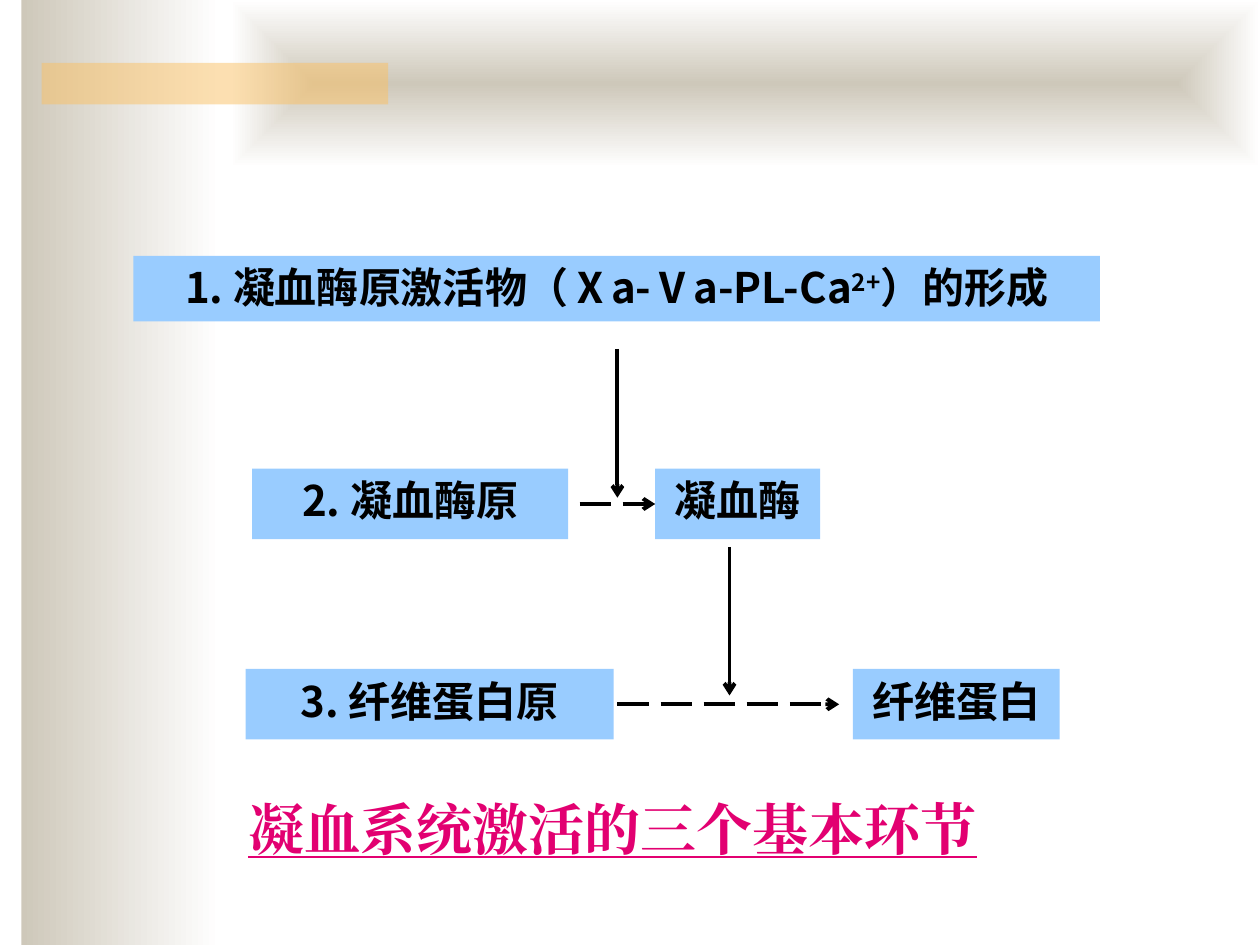
from dataclasses import dataclass
from typing import Optional

from lxml import etree
from pptx import Presentation
from pptx.dml.color import RGBColor
from pptx.enum.dml import MSO_LINE
from pptx.enum.shapes import MSO_CONNECTOR, MSO_SHAPE
from pptx.enum.text import MSO_ANCHOR, MSO_AUTO_SIZE, PP_ALIGN
from pptx.oxml.ns import qn
from pptx.shapes.autoshape import Shape
from pptx.slide import Slide
from pptx.text.text import TextFrame
from pptx.util import Inches, Pt

RECTANGLE = MSO_SHAPE.RECTANGLE
STRAIGHT = MSO_CONNECTOR.STRAIGHT
LONG_DASH = MSO_LINE.LONG_DASH
TOP = MSO_ANCHOR.TOP
CENTER = PP_ALIGN.CENTER
GROW = MSO_AUTO_SIZE.SHAPE_TO_FIT_TEXT

SAND = RGBColor(0xCE, 0xC8, 0xBA)
WHITE = RGBColor(0xFF, 0xFF, 0xFF)
AMBER = RGBColor(0xFA, 0xC1, 0x64)
SKY = RGBColor(0x99, 0xCC, 0xFF)
BLACK = RGBColor(0, 0, 0)
MAGENTA = RGBColor(0xE2, 0x00, 0x71)

STEP_FORMAT = {"name": "Noto Sans CJK SC", "size": Pt(24), "bold": True}
CAPTION_FORMAT = {"name": "Times New Roman", "size": Pt(32), "bold": True, "underline": True}
LEFT_SIDE = 1


@dataclass(frozen=True)
class Area:
    left: float
    top: float
    width: float
    height: float

    def lengths(self) -> tuple:
        return tuple(Inches(v) for v in (self.left, self.top, self.width, self.height))


@dataclass(frozen=True)
class Step:
    area: Area
    text: str
    superscript: str = ""
    ending: str = ""


@dataclass(frozen=True)
class Arrow:
    start: tuple[float, float]
    end: tuple[float, float]
    dashed: bool = False
    target: Optional[str] = None


STEPS = (
    Step(Area(1.06, 2.03, 7.67, 0.52), "1. 凝血酶原激活物（Ⅹa-Ⅴa-PL-Ca", "2+", "）的形成"),
    Step(Area(2, 3.72, 2.51, 0.56), "2. 凝血酶原"),
    Step(Area(5.2, 3.72, 1.31, 0.56), "凝血酶"),
    Step(Area(1.95, 5.31, 2.92, 0.56), "3. 纤维蛋白原"),
    Step(Area(6.77, 5.31, 1.64, 0.56), "纤维蛋白"),
)
ARROWS = (
    Arrow((4.9, 5.59), (6.66, 5.59), dashed=True),
    Arrow((4.6, 4), (5.2, 4), dashed=True, target="凝血酶"),
    Arrow((4.9, 2.77), (4.9, 3.95)),
    Arrow((5.79, 4.34), (5.79, 5.52)),
)


def add_rectangle(page: Slide, area: Area) -> Shape:
    box = page.shapes.add_shape(RECTANGLE, *area.lengths())
    box.shadow.inherit = False
    box.line.fill.background()
    return box


def add_gradient_panel(page: Slide, area: Area, from_center: bool = False) -> None:
    panel = add_rectangle(page, area)
    panel.fill.gradient()
    panel.fill.gradient_angle = 0
    for stop, color, position in zip(panel.fill.gradient_stops, (SAND, WHITE), (0, 1)):
        stop.color.rgb = color
        stop.position = position
    if from_center:
        linear = panel.fill._xPr.find(".//" + qn("a:lin"))
        radial = etree.Element(qn("a:path"), {"path": "rect"})
        sides = {side: "50000" for side in "ltrb"}
        etree.SubElement(radial, qn("a:fillToRect"), sides)
        linear.getparent().replace(linear, radial)


def add_accent_bar(page: Slide, area: Area) -> None:
    bar = add_rectangle(page, area)
    bar.fill.solid()
    bar.fill.fore_color.rgb = AMBER
    color = bar.fill._xPr.find(".//" + qn("a:srgbClr"))
    etree.SubElement(color, qn("a:alpha"), {"val": "50000"})


def write_text(frame: TextFrame, texts: tuple, font_format: dict, color: RGBColor) -> None:
    frame.word_wrap = True
    frame.vertical_anchor = TOP
    para = frame.paragraphs[0]
    para.alignment = CENTER
    for index, text in enumerate(filter(None, texts)):
        span = para.add_run()
        span.text = text
        for attribute, value in font_format.items():
            setattr(span.font, attribute, value)
        span.font.color.rgb = color
        properties = span.font._element
        properties.find(qn("a:latin")).addnext(
            etree.Element(qn("a:ea"), {"typeface": font_format["name"]}))
        if index == 1:
            properties.set("baseline", "30000")


def add_step(page: Slide, step: Step) -> Shape:
    box = add_rectangle(page, step.area)
    box.fill.solid()
    box.fill.fore_color.rgb = SKY
    write_text(box.text_frame, (step.text, step.superscript, step.ending), STEP_FORMAT, BLACK)
    return box


def add_arrow(page: Slide, arrow: Arrow, boxes: dict[str, Shape]) -> None:
    points = (Inches(value) for value in arrow.start + arrow.end)
    connector = page.shapes.add_connector(STRAIGHT, *points)
    if arrow.target:
        connector.end_connect(boxes[arrow.target], LEFT_SIDE)
    connector.line.color.rgb = BLACK
    connector.line.width = Pt(2.25)
    if arrow.dashed:
        connector.line.dash_style = LONG_DASH
    properties = connector._element.spPr
    etree.SubElement(properties.find(qn("a:ln")), qn("a:tailEnd"), {"type": "arrow"})
    etree.SubElement(properties, qn("a:effectLst"))


def add_caption(page: Slide, area: Area, text: str) -> None:
    box = page.shapes.add_textbox(*area.lengths())
    write_text(box.text_frame, (text,), CAPTION_FORMAT, MAGENTA)
    box.text_frame.auto_size = GROW


def main() -> None:
    """Build the slide on the three basic steps of coagulation."""
    deck = Presentation()
    deck.slide_width, deck.slide_height = Inches(10), Inches(7.5)
    page = deck.slides.add_slide(deck.slide_layouts[6])
    add_gradient_panel(page, Area(0.17, 0, 1.58, 7.5))
    add_gradient_panel(page, Area(1.83, 0, 8.17, 1.33), from_center=True)
    add_accent_bar(page, Area(0.33, 0.5, 2.75, 0.33))
    add_caption(page, Area(1.8, 6.26, 6.13, 0.64), "凝血系统激活的三个基本环节")
    boxes = {step.text: add_step(page, step) for step in STEPS}
    for arrow in ARROWS:
        add_arrow(page, arrow, boxes)
    deck.save("out.pptx")


if __name__ == "__main__":
    main()
